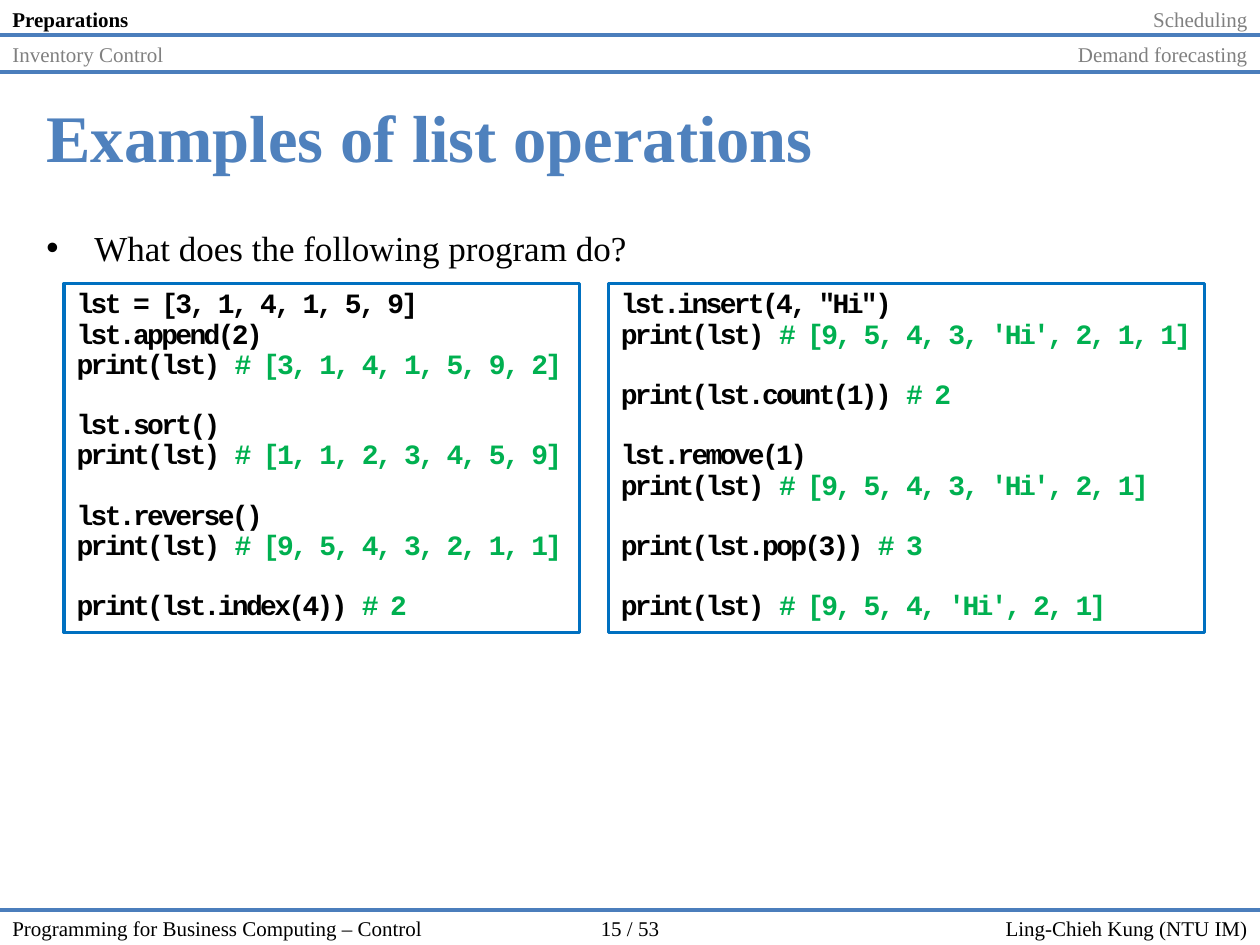
from lxml import etree
from pptx import Presentation
from pptx.dml.color import RGBColor
from pptx.enum import shapes, text
from pptx.oxml import ns
from pptx.util import Inches, Pt

BLACK = RGBColor(0, 0, 0)
WHITE = RGBColor(0xFF, 0xFF, 0xFF)
GREY = RGBColor(0x80, 0x80, 0x80)
RULE = RGBColor(0x4B, 0x7E, 0xBC)
TITLE = RGBColor(0x4F, 0x81, 0xBD)
FRAME = RGBColor(0, 0x70, 0xC0)
GREEN = RGBColor(0, 0xB0, 0x50)
SERIF, MONO = "Times New Roman", "Courier New"
LEFT, MID, RIGHT = text.PP_ALIGN.LEFT, text.PP_ALIGN.CENTER, text.PP_ALIGN.RIGHT
TOP, CENTRE = text.MSO_ANCHOR.TOP, text.MSO_ANCHOR.MIDDLE

WIDTH, HEIGHT = 10, 7.5
BAR = 0.28          # height of a header or footer row
FOOT = 7.22
NAV, SIDE = 3.35, 4.53

HEADER = [("Preparations", "Scheduling"), ("Inventory Control", "Demand forecasting")]
CURRENT = "Preparations"
FOOTER = [
    ("Programming for Business Computing – Control", 0, SIDE, LEFT),
    ("15 / 53", SIDE, WIDTH - 2 * SIDE, MID),
    ("Ling-Chieh Kung (NTU IM)", WIDTH - SIDE, SIDE, RIGHT),
]
HEADING = "Examples of list operations"
QUESTION = "What does the following program do?"

# Each listing: left, width, blocks of code lines
CODE = [
    (0.51, 4.09, [
        ["lst = [3, 1, 4, 1, 5, 9]", "lst.append(2)",
         "print(lst) # [3, 1, 4, 1, 5, 9, 2]"],
        ["lst.sort()", "print(lst) # [1, 1, 2, 3, 4, 5, 9]"],
        ["lst.reverse()", "print(lst) # [9, 5, 4, 3, 2, 1, 1]"],
        ["print(lst.index(4)) # 2"],
    ]),
    (4.83, 4.73, [
        ['lst.insert(4, "Hi")', "print(lst) # [9, 5, 4, 3, 'Hi', 2, 1, 1]"],
        ["print(lst.count(1)) # 2"],
        ["lst.remove(1)", "print(lst) # [9, 5, 4, 3, 'Hi', 2, 1]"],
        ["print(lst.pop(3)) # 3"],
        ["print(lst) # [9, 5, 4, 'Hi', 2, 1]"],
    ]),
]


def style(run, font, size, color, bold=False):
    run.font.name, run.font.size, run.font.bold = font, Pt(size), bold
    run.font.color.rgb = color


def label(slide, words, box, size, color=BLACK, bold=False, align=LEFT, anchor=TOP):
    frame = slide.shapes.add_textbox(*map(Inches, box)).text_frame
    frame.word_wrap = True
    frame.vertical_anchor = anchor
    para = frame.paragraphs[0]
    para.text, para.alignment = words, align
    style(para.runs[0], SERIF, size, color, bold)
    return para


def rule(slide, y):
    """Draw a line across the whole slide."""
    line = slide.shapes.add_connector(
        shapes.MSO_CONNECTOR.STRAIGHT, 0, Inches(y), Inches(WIDTH), Inches(y))
    line.line.color.rgb, line.line.width = RULE, Pt(2.25)
    etree.SubElement(line._element.spPr, ns.qn("a:effectLst"))


def bullet(para, indent):
    props = para._p.get_or_add_pPr()
    props.set("marL", str(Inches(indent)))
    props.set("indent", str(-Inches(indent)))
    etree.SubElement(props, ns.qn("a:buFont")).set("typeface", "Arial")
    etree.SubElement(props, ns.qn("a:buChar")).set("char", "•")


def listing(slide, left, width, blocks):
    """Draw a framed program with its comments in green."""
    box = slide.shapes.add_shape(
        shapes.MSO_SHAPE.RECTANGLE, *map(Inches, (left, 2.25, width, 2.77)))
    box.shadow.inherit = False
    box.fill.solid()
    box.fill.fore_color.rgb = WHITE
    box.line.color.rgb, box.line.width = FRAME, Pt(2)
    frame = box.text_frame
    frame.word_wrap = True
    frame.vertical_anchor = TOP
    frame.text = "\n".join(line for block in blocks for line in block)
    starts = [block[0] for block in blocks[1:]]
    for para in frame.paragraphs:
        words = para.text
        para.alignment, para.line_spacing = LEFT, 0.9
        if words in starts:
            para.space_before = Pt(17.25)
        code, mark, note = words.partition("#")
        para.text = code
        style(para.runs[0], MONO, 16, BLACK, True)
        if mark:
            run = para.add_run()
            run.text = mark + note
            style(run, MONO, 16, GREEN, True)
        for run in para.runs:
            run.font._element.set("spc", "-150")


def main():
    deck = Presentation()
    deck.slide_width, deck.slide_height = Inches(WIDTH), Inches(HEIGHT)
    slide = deck.slides.add_slide(deck.slide_layouts[6])

    for y in (FOOT, BAR, 0.57):
        rule(slide, y)
    for words, left, width, align in FOOTER:
        label(slide, words, (left, FOOT, width, BAR), 12, align=align)
    for row, pair in enumerate(HEADER):
        for words, left, align in zip(pair, (0, WIDTH - NAV), (LEFT, RIGHT)):
            now = words == CURRENT
            label(slide, words, (left, row * BAR, NAV, BAR), 12,
                  BLACK if now else GREY, now, align)

    label(slide, HEADING, (0.27, 0.6, 9.53, 0.95), 38, TITLE, True, anchor=CENTRE)
    bullet(label(slide, QUESTION, (0.27, 1.75, 9.53, 5.39), 20), 0.38)
    for left, width, blocks in CODE:
        listing(slide, left, width, blocks)

    deck.save("out.pptx")


if __name__ == "__main__":
    main()
